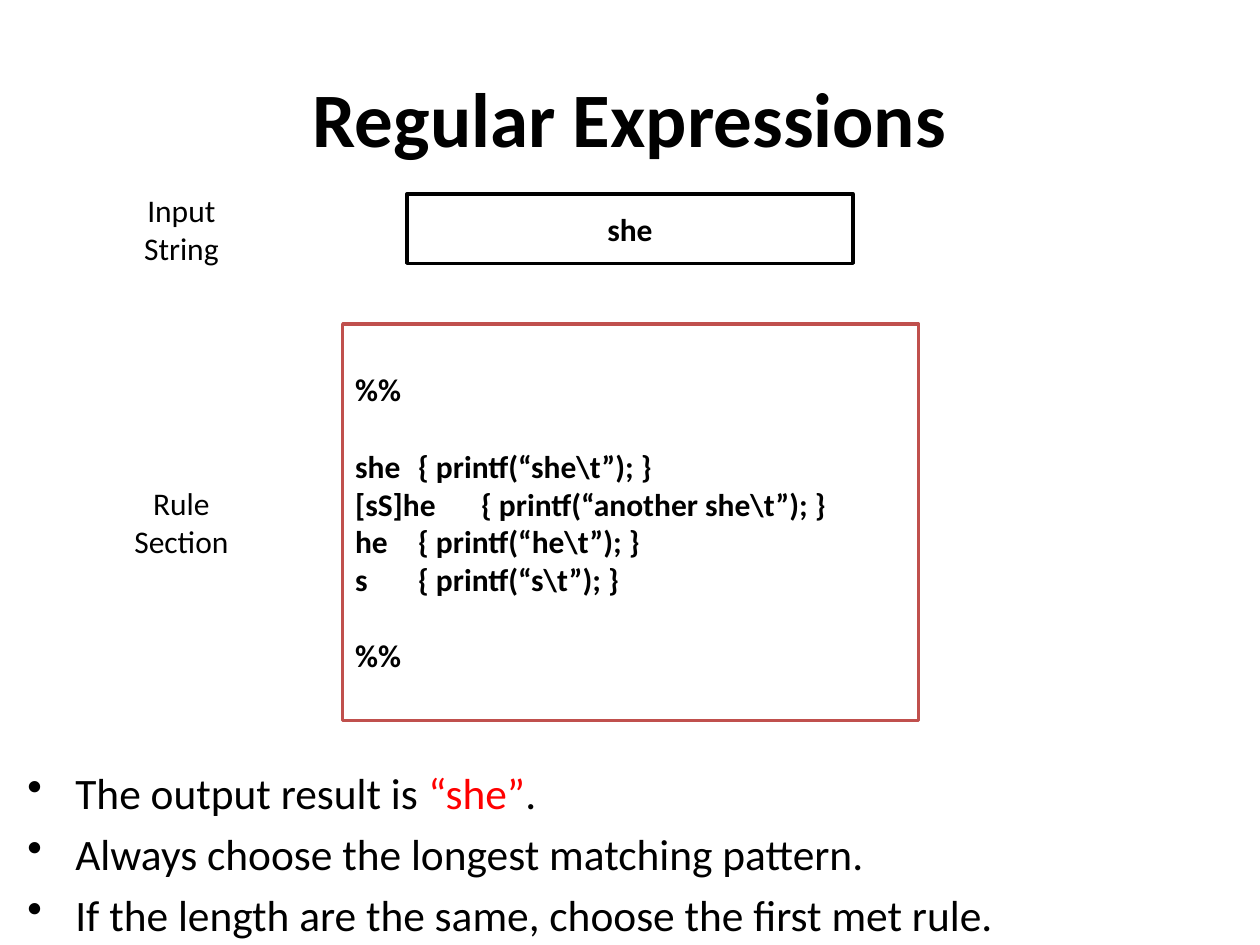
"""Build the Regular Expressions slide on longest-match rules."""
from dataclasses import dataclass

from lxml import etree
from pptx import Presentation
from pptx import util as u
from pptx.dml.color import RGBColor
from pptx.enum import shapes, text
from pptx.oxml import ns

BLACK, WHITE, RED, BRICK = "000000", "FFFFFF", "FF0000", "C0504D"
CENTER, LEFT = text.PP_ALIGN.CENTER, text.PP_ALIGN.LEFT
TOP, MIDDLE = text.MSO_ANCHOR.TOP, text.MSO_ANCHOR.MIDDLE


@dataclass(frozen=True)
class Line:
    runs: tuple[tuple[str, str], ...]
    space_before: float = 0


@dataclass(frozen=True)
class Block:
    left: float
    top: float
    width: float
    height: float
    lines: tuple[Line, ...]
    size: float = 18
    bold: bool = False
    align: text.PP_ALIGN = CENTER
    anchor: text.MSO_ANCHOR = TOP
    outline: str = ""
    bulleted: bool = False


def line(words: str, space_before: float = 0) -> Line:
    return Line(((words, BLACK),), space_before)


def color(value: str) -> RGBColor:
    return RGBColor.from_string(value)


def add_bullet(paragraph, indent: float) -> None:
    properties = paragraph._p.get_or_add_pPr()
    properties.set("marL", str(u.Inches(indent)))
    properties.set("indent", str(-u.Inches(indent)))
    bullet = etree.Element(ns.qn("a:buChar"), char="•")
    properties.find(ns.qn("a:defRPr")).addprevious(bullet)


def write_lines(frame, block: Block) -> None:
    for index, content in enumerate(block.lines):
        paragraph = frame.add_paragraph() if index else frame.paragraphs[0]
        paragraph.alignment = block.align
        paragraph.space_before = u.Pt(content.space_before)
        paragraph.font.name = "Calibri"
        paragraph.font.size = u.Pt(block.size)
        paragraph.font.bold = block.bold
        for words, shade in content.runs:
            run = paragraph.add_run()
            run.text = words
            run.font.color.rgb = color(shade)
        if block.bulleted:
            add_bullet(paragraph, 0.38)


def draw_block(slide, block: Block) -> None:
    box = [u.Inches(n) for n in (block.left, block.top, block.width, block.height)]
    if block.outline:
        shape = slide.shapes.add_shape(shapes.MSO_SHAPE.RECTANGLE, *box)
        shape.shadow.inherit = False
        shape.fill.solid()
        shape.fill.fore_color.rgb = color(WHITE)
        shape.line.color.rgb = color(block.outline)
        shape.line.width = u.Pt(2)
    else:
        shape = slide.shapes.add_textbox(*box)
    shape.text_frame.word_wrap = True
    shape.text_frame.vertical_anchor = block.anchor
    write_lines(shape.text_frame, block)


CONCLUSIONS = (
    Line((("The output result is ", BLACK), ("“she”", RED), (".", BLACK)), 5),
    line("Always choose the longest matching pattern.", 5),
    line("If the length are the same, choose the first met rule.", 5),
)
RULES = (
    line("%%"),
    line("she\t{ printf(“she\\t”); }", 22),
    line("[sS]he\t{ printf(“another she\\t”); }"),
    line("he\t{ printf(“he\\t”); }"),
    line("s\t{ printf(“s\\t”); }"),
    line("%%", 22),
)
BLOCKS = (
    Block(0.5, 0.3, 9, 1.25, (line("Regular Expressions"),), 44, True, anchor=MIDDLE),
    Block(0.12, 6.03, 9.3, 1.31, CONCLUSIONS, 24.8, align=LEFT, bulleted=True),
    Block(3.23, 1.54, 3.54, 0.55, (line("she"),), bold=True, anchor=MIDDLE, outline=BLACK),
    Block(0.97, 1.47, 0.94, 0.71, (line("Input"), line("String"))),
    Block(2.72, 2.57, 4.57, 3.15, RULES, bold=True, align=LEFT, anchor=MIDDLE, outline=BRICK),
    Block(0.87, 3.79, 1.14, 0.71, (line("Rule"), line("Section"))),
)


def main() -> None:
    presentation = Presentation()
    presentation.slide_width = u.Inches(10)
    presentation.slide_height = u.Inches(7.5)
    slide = presentation.slides.add_slide(presentation.slide_layouts[6])
    for block in BLOCKS:
        draw_block(slide, block)
    presentation.save("out.pptx")


if __name__ == "__main__":
    main()
